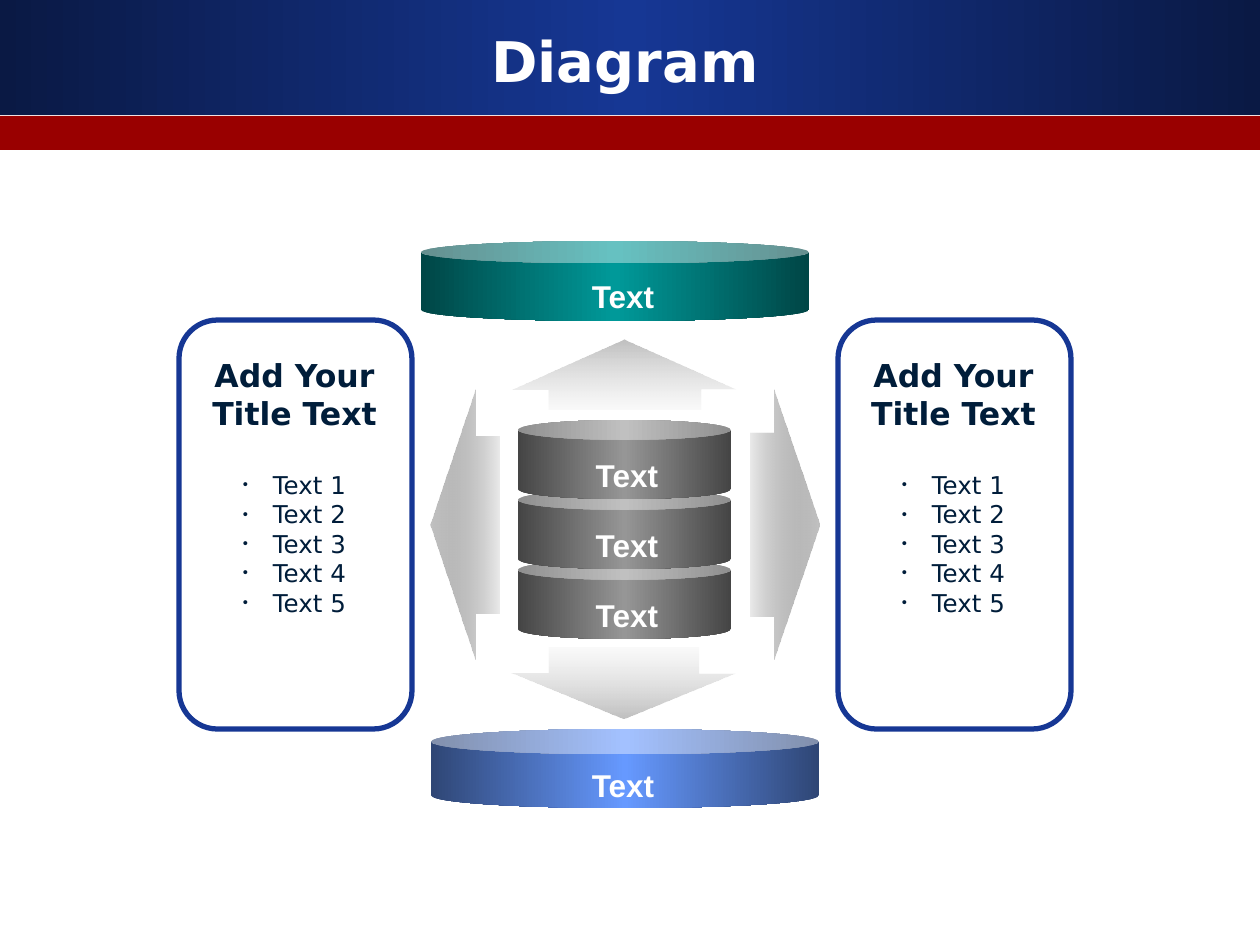
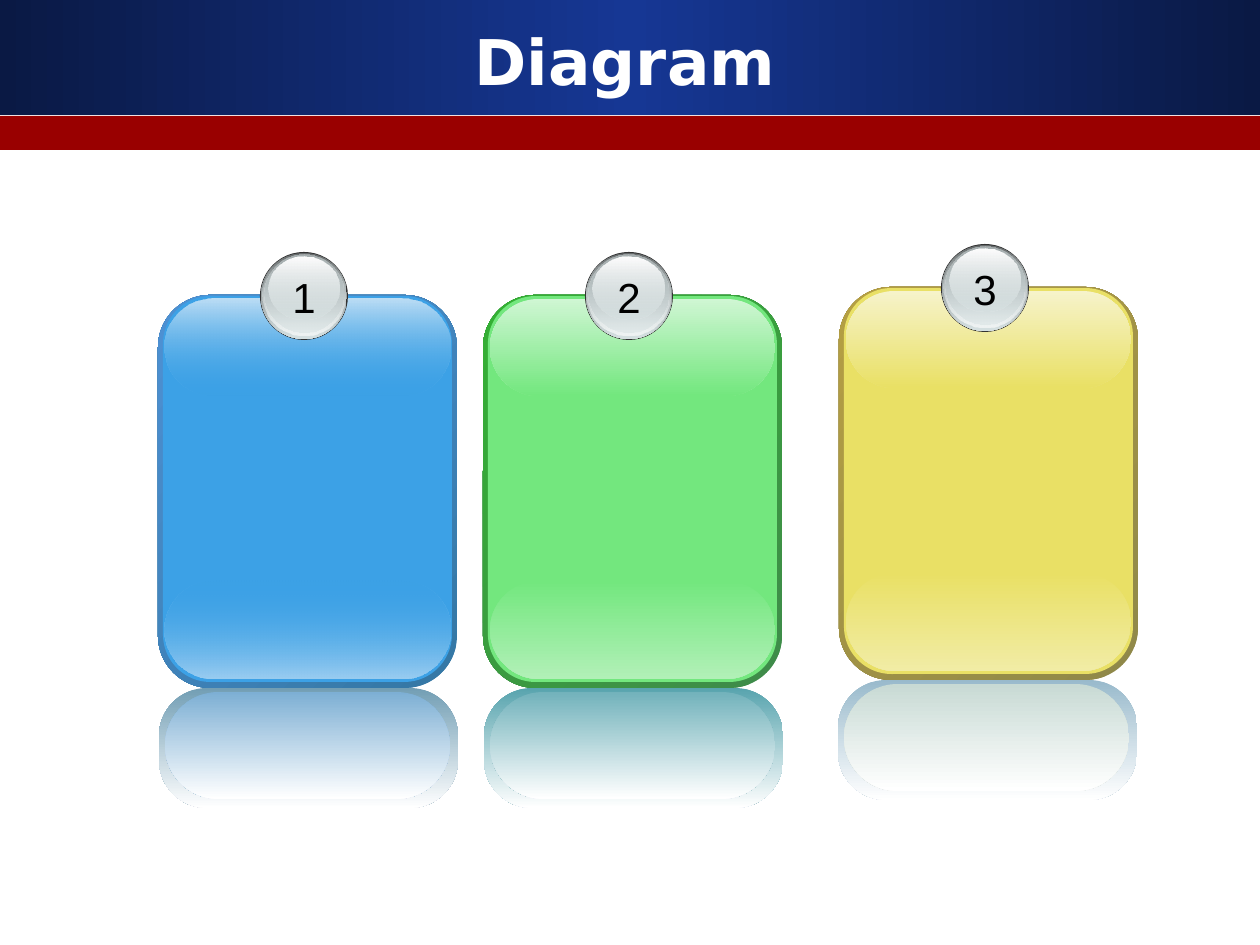
from typing import NamedTuple

from pptx import Presentation
from pptx.dml.color import RGBColor as RGB
from pptx.enum.shapes import MSO_SHAPE as Kind
from pptx.enum.text import MSO_ANCHOR as Anchor, MSO_AUTO_SIZE as Fit, PP_ALIGN as Align
from pptx.oxml import parse_xml
from pptx.oxml.ns import nsdecls, qn
from pptx.util import Emu, Pt

# Shared look
PX = 914400 / 126
SANS, ARIAL = "DejaVu Sans", "Arial"
HEX = {
    "white": "FFFFFF", "black": "000000", "ink": "001D3A",
    "navy": "0A1944", "royal": "163794", "red": "990000",
    "coal": "454545", "ash": "969696", "smoke": "585858",
    "silver": "C0C0C0", "mist": "D6D6D6",
    "pine": "004646", "teal": "009999", "slate": "2F4675", "azure": "6699FF",
    "blue": "3CA1E6", "blue rim": "3477A4", "blue lip": "4E91D4",
    "blue top": "BDDEF5", "blue low": "9ACDF1",
    "blue edge": "729EB4", "blue pool": "7DAFD4",
    "green": "73E77E", "green rim": "3F8B4A", "green lip": "34B034",
    "green top": "CFF6D3", "green low": "B1F0B7",
    "green edge": "58A4AE", "green pool": "72B2BB",
    "gold": "E9E065", "gold rim": "8F8849", "gold lip": "B59F43",
    "gold top": "F6F3CA", "gold low": "F1ECA5",
    "gold edge": "99BACC", "gold pool": "C8DAD4",
    "ring": "333333", "steel": "626768", "pearl": "D6E1E2",
    "shine": "EFF3F3", "shade": "A8B1B2", "glint": "FEFEFE",
}


class Box(NamedTuple):
    x: int
    y: int
    w: int
    h: int

    def shift(self, x: int, y: int) -> "Box":
        return Box(self.x + x, self.y + y, self.w, self.h)

    def emu(self) -> list[Emu]:
        return [px(v) for v in self]


class Stop(NamedTuple):
    name: str
    alpha: int = 100


class Fill(NamedTuple):
    stops: tuple[Stop, ...]
    angle: int = 90


class Part(NamedTuple):
    kind: Kind
    box: Box
    fill: Fill
    adj: tuple[float, ...] = ()


class Card(NamedTuple):
    hue: str
    x: int
    y: int
    fade: int    # opacity of the gloss where it meets the card
    drift: int   # sideways offset of the reflection


def px(n: float) -> Emu:
    return Emu(round(n * PX))


def tone(name: str) -> RGB:
    return RGB.from_string(HEX[name])


def plain(name: str) -> Fill:
    return Fill((Stop(name),))


def blend(a: Stop, b: Stop, angle: int = 90) -> Fill:
    return Fill((a, b), angle)


def sheen(edge: str, mid: str) -> Fill:
    return Fill((Stop(edge), Stop(mid), Stop(edge)), 180)


def paint(shape, fill: Fill) -> None:
    """Fill with one colour or with evenly spaced gradient stops."""
    if len(fill.stops) == 1:
        shape.fill.solid()
        shape.fill.fore_color.rgb = tone(fill.stops[0].name)
        return
    step = 100000 // (len(fill.stops) - 1)
    stops = "".join(
        f'<a:gs pos="{i * step}"><a:srgbClr val="{HEX[s.name]}">'
        f'<a:alpha val="{s.alpha * 1000}"/></a:srgbClr></a:gs>'
        for i, s in enumerate(fill.stops))
    shape.fill.background()
    props = shape._element.spPr
    props.replace(props.find(qn("a:noFill")), parse_xml(
        f'<a:gradFill {nsdecls("a")} rotWithShape="1"><a:gsLst>{stops}</a:gsLst>'
        f'<a:lin ang="{fill.angle * 60000}" scaled="0"/></a:gradFill>'))


def draw(slide, part: Part):
    shape = slide.shapes.add_shape(part.kind, *part.box.emu())
    for i, value in enumerate(part.adj):
        shape.adjustments[i] = value
    shape.shadow.inherit = False
    shape.line.fill.background()
    paint(shape, part.fill)
    return shape


def style(para, size: int, color: str, face: str, bold: bool = False) -> None:
    para.alignment = Align.CENTER
    font = para.font
    font.size, font.name, font.bold = Pt(size), face, bold
    font.color.rgb = tone(color)


def place(holder, box: Box) -> None:
    holder.left, holder.top, holder.width, holder.height = box.emu()


def label(slide, text: str, box: Box, size: int, color: str, bold: bool) -> None:
    frame = slide.shapes.add_textbox(*box.emu()).text_frame
    frame.word_wrap = False
    frame.text = text
    style(frame.paragraphs[0], size, color, ARIAL, bold)


def head(slide, size: int) -> None:
    title = slide.shapes.title
    place(title, Box(42, 21, 1166, 78))
    frame = title.text_frame
    frame.text = "Diagram"
    frame.auto_size, frame.vertical_anchor = Fit.NONE, Anchor.MIDDLE
    style(frame.paragraphs[0], size, "white", SANS, True)


def bands(deck, slide) -> None:
    """Draw the header bands and hand them to the slide master."""
    tree = deck.slide_master.shapes._spTree
    for i, part in enumerate((
            Part(Kind.RECTANGLE, Box(0, 0, 1260, 115), sheen("navy", "royal")),
            Part(Kind.RECTANGLE, Box(0, 116, 1260, 34), plain("red")))):
        tree.insert(2 + i, draw(slide, part)._element)


# Slide 1: stacked cans, arrows and two panels
CAN = sheen("coal", "ash")
HAZE, GREY = Stop("smoke", 12), Stop("silver")
FOG = Stop("mist", 12)
STACK = [Part(Kind.CAN, Box(518, 420 + 70 * i, 213, 79), CAN, (0.25,))
         for i in (2, 1, 0)]
FLOW = [
    Part(Kind.LEFT_ARROW, Box(431, 390, 68, 269), blend(HAZE, GREY, 180), (0.66, 0.65)),
    Part(Kind.RIGHT_ARROW, Box(751, 390, 68, 269), blend(GREY, HAZE, 180), (0.68, 0.66)),
    Part(Kind.UP_ARROW, Box(513, 340, 223, 70), blend(GREY, FOG), (0.68, 0.71)),
    Part(Kind.DOWN_ARROW, Box(512, 648, 223, 70), blend(FOG, GREY), (0.67, 0.64)),
]
ENDS = [
    Part(Kind.CAN, Box(421, 241, 388, 80), sheen("pine", "teal"), (0.28,)),
    Part(Kind.CAN, Box(431, 729, 388, 79), sheen("slate", "azure"), (0.32,)),
]
TAGS = [(582, 450 + 70 * i) for i in range(3)] + [(578, 271), (578, 760)]


def bullet(para) -> None:
    props = para._p.get_or_add_pPr()
    props.set("marL", str(px(30)))
    props.set("indent", str(px(-30)))
    for tag in (f'buClr {nsdecls("a")}><a:srgbClr val="{HEX["ink"]}"/></a:buClr>',
                f'buSzPct {nsdecls("a")} val="60000"/>',
                f'buChar {nsdecls("a")} char="•"/>'):
        props.append(parse_xml("<a:" + tag))


def unmark(para) -> None:
    props = para._p.get_or_add_pPr()
    props.set("marL", "0")
    props.set("indent", "0")
    props.append(parse_xml(f'<a:buNone {nsdecls("a")}/>'))


def panel(slide, body, x: int) -> None:
    frame = slide.shapes.add_shape(
        Kind.ROUNDED_RECTANGLE, *Box(x, 320, 233, 409).emu())
    frame.adjustments[0] = 0.165
    frame.shadow.inherit = False
    frame.fill.background()
    frame.line.color.rgb, frame.line.width = tone("royal"), Pt(3)

    place(body, Box(x + 9, 350, 213, 273))
    text = body.text_frame
    text.auto_size, text.vertical_anchor = Fit.NONE, Anchor.TOP
    heads = ["Add Your", "Title Text"]
    text.text = "\n".join(heads + [f"Text {n}" for n in range(1, 6)])
    for i, para in enumerate(text.paragraphs):
        top = i < len(heads)
        para.space_before = px(38) if i == len(heads) else Pt(0)
        (unmark if top else bullet)(para)
        style(para, 18 if top else 14, "ink", SANS, top)


def hub(slide) -> None:
    head(slide, 32)
    for part in STACK + FLOW + ENDS:
        draw(slide, part)
    for x, y in TAGS:
        label(slide, "Text", Box(x, y, 90, 50), 18, "white", True)
    for slot, x in ((1, 179), (2, 838)):
        panel(slide, slide.placeholders[slot], x)


# Slide 2: three glossy cards with numbered badges
CARDS = [
    Card("blue", 158, 295, 0, 1),
    Card("green", 483, 295, 100, 1),
    Card("gold", 839, 287, 100, -1),
]
BADGE = [
    (Box(102, -43, 88, 88), plain("ring")),
    (Box(103, -42, 86, 86), blend(Stop("steel"), Stop("pearl"))),
    (Box(104, -42, 83, 83), blend(Stop("pearl", 0), Stop("shine"))),
    (Box(106, -40, 79, 78), blend(Stop("shade"), Stop("pearl", 48))),
    (Box(110, -38, 71, 63), blend(Stop("glint"), Stop("pearl", 38))),
]


def layers(card: Card) -> list[Part]:
    hue, side = card.hue, card.drift
    base, white = Stop(hue, card.fade), Stop("white")
    rows = [
        (Box(0, 0, 299, 393), blend(Stop(f"{hue} rim"), Stop(f"{hue} lip"), 225), 0.175),
        (Box(5, 1, 289, 386), plain(hue), 0.165),
        (Box(7, 286, 285, 98), blend(base, Stop(f"{hue} low")), 0.5),
        (Box(7, 4, 285, 97), blend(Stop(f"{hue} top"), base), 0.5),
        (Box(side, 393, 299, 120), blend(Stop(f"{hue} edge"), white), 0.4),
        (Box(side + 6, 397, 285, 107), blend(Stop(f"{hue} pool"), white), 0.5),
    ]
    parts = [Part(Kind.ROUNDED_RECTANGLE, box, fill, (adj,)) for box, fill, adj in rows]
    return parts + [Part(Kind.OVAL, box, fill) for box, fill in BADGE]


def cards(slide) -> None:
    head(slide, 36)
    for n, card in enumerate(CARDS, 1):
        for part in layers(card):
            draw(slide, part._replace(box=part.box.shift(card.x, card.y)))
        spot = Box(122, -30, 48, 63).shift(card.x, card.y)
        label(slide, str(n), spot, 24, "black", False)


def main() -> None:
    deck = Presentation()
    deck.slide_width, deck.slide_height = px(1260), px(945)
    first = deck.slides.add_slide(deck.slide_layouts.get_by_name("Two Content"))
    bands(deck, first)
    hub(first)
    cards(deck.slides.add_slide(deck.slide_layouts.get_by_name("Title Only")))
    deck.save("out.pptx")


if __name__ == "__main__":
    main()
